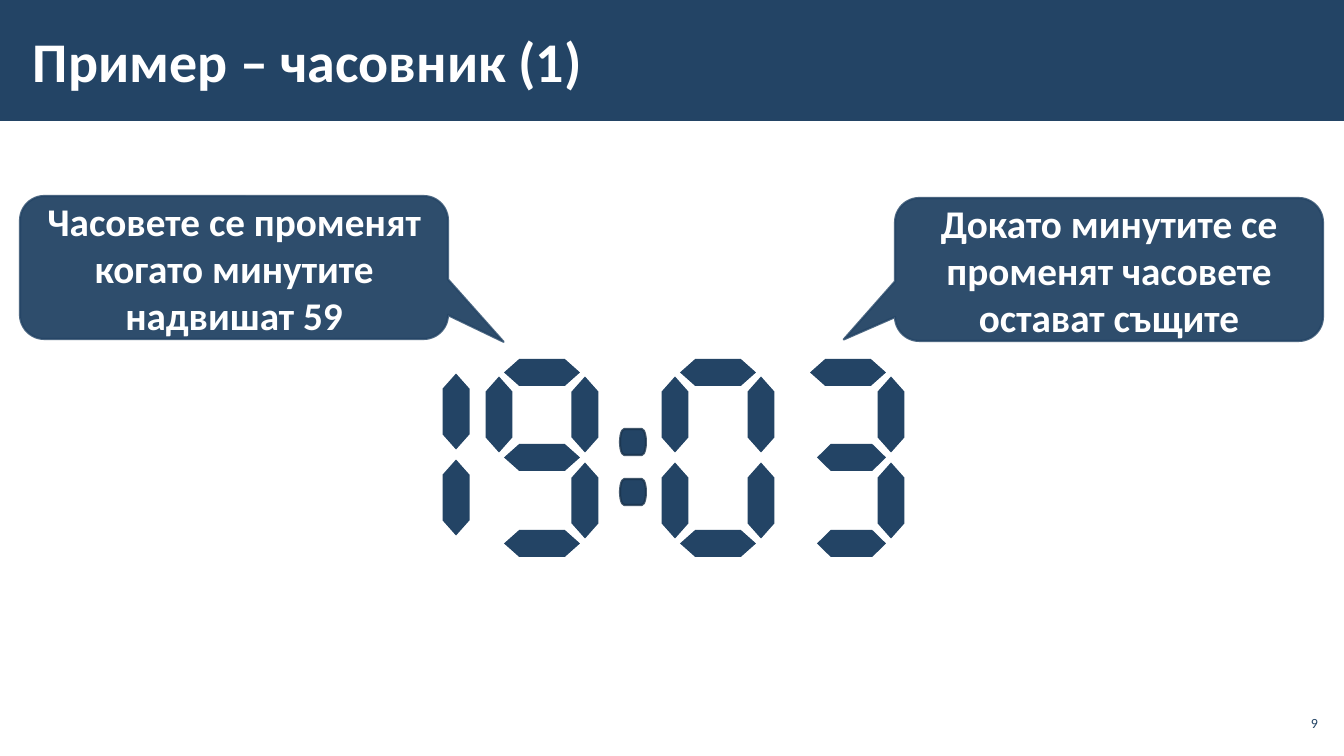
from pptx import Presentation
from pptx.dml.color import RGBColor
from pptx.enum.shapes import MSO_SHAPE as Shape
from pptx.enum.text import MSO_ANCHOR as Anchor, PP_ALIGN as Align
from pptx.oxml.ns import qn
from pptx.util import Pt
from lxml.etree import SubElement

NAVY = RGBColor(0x23, 0x44, 0x65)
DARK_NAVY = RGBColor(0x1A, 0x33, 0x4C)
WHITE = RGBColor(0xFF, 0xFF, 0xFF)
FONT = "Calibri"
WIDTH, HEIGHT = 1344, 756
SCALE = 12192000 / WIDTH

# Segment name: (offset from the digit's centre, centre height, upright)
SEGMENTS = {
    "top": (0, 372, False),
    "middle": (0, 457, False),
    "bottom": (0, 543, False),
    "upper left": (-43, 414, True),
    "lower left": (-43, 500, True),
    "upper right": (43, 414, True),
    "lower right": (43, 500, True),
}
BARS = ["top", "middle", "bottom"]
RIGHT_SIDE = ["upper right", "lower right"]
LEFT_SIDE = ["upper left", "lower left"]


def px(length):
    return round(length * SCALE)


def set_alpha(fill_parent, percent):
    color = fill_parent.find(qn("a:solidFill"))[0]
    SubElement(color, qn("a:alpha")).set("val", str(percent * 1000))


class ClockSlide:
    def __init__(self, deck):
        self.slide = deck.slides.add_slide(deck.slide_layouts[6])

    def shape(self, kind, left, top, width, height, line=None):
        shape = self.slide.shapes.add_shape(
            kind, px(left), px(top), px(width), px(height))
        shape.shadow.inherit = False
        shape.fill.solid()
        shape.fill.fore_color.rgb = NAVY
        if line is None:
            shape.line.fill.background()
        else:
            shape.line.color.rgb = line
            shape.line.width = Pt(1.5)
            set_alpha(shape.line.fill._xPr, 80)
        return shape

    def set_text(self, box, text, size, color, align, bold=False):
        frame = box.text_frame
        frame.word_wrap = True
        frame.vertical_anchor = Anchor.MIDDLE
        para = frame.paragraphs[0]
        para.text = text
        para.alignment = align
        para.font.name = FONT
        para.font.size = Pt(size)
        para.font.bold = bold
        para.font.color.rgb = color

    def label(self, text, left, top, width, height, size, color, align,
              side_inset, bold=False):
        box = self.slide.shapes.add_textbox(
            px(left), px(top), px(width), px(height))
        frame = box.text_frame
        frame.margin_left = frame.margin_right = px(side_inset)
        frame.margin_top = frame.margin_bottom = px(4)
        self.set_text(box, text, size, color, align, bold)

    def callout(self, text, left, top, tip):
        bubble = self.shape(Shape.ROUNDED_RECTANGULAR_CALLOUT,
                            left, top, 428, 143, line=NAVY)
        for index, value in enumerate((*tip, 0.17)):
            bubble.adjustments[index] = value
        set_alpha(bubble._element.spPr, 95)
        self.set_text(bubble, text, 28, WHITE, Align.CENTER, bold=True)

    def digit(self, center, names, shift=0, short=()):
        for name in names:
            offset, middle, upright = SEGMENTS[name]
            length = 69 if name in short else 76
            # Short bars keep their right end in place
            left = center + offset + 38 - length
            segment = self.shape(Shape.FLOWCHART_PREPARATION,
                                 left, middle + shift - 13, length, 27)
            if upright:
                segment.rotation = 90

    def colon(self, left, tops):
        for top in tops:
            self.shape(Shape.FLOWCHART_TERMINATOR, left, top, 26, 26,
                       line=DARK_NAVY)


def main():
    deck = Presentation()
    deck.slide_width, deck.slide_height = px(WIDTH), px(HEIGHT)
    page = ClockSlide(deck)

    # Title band and page number
    page.shape(Shape.RECTANGLE, 0, 0, WIDTH, 121)
    page.label("Пример – часовник (1)", 21, 11, 1072, 98, 40, WHITE,
               Align.LEFT, 12, bold=True)
    page.label("9", 1275, 706, 47, 34, 10, NAVY, Align.RIGHT, 4)

    # Clock face: 19:03
    page.digit(413, RIGHT_SIDE, shift=-3)
    page.digit(542, BARS + RIGHT_SIDE + ["upper left"])
    page.colon(620, (429, 479))
    page.digit(718, ["top", "bottom"] + LEFT_SIDE + RIGHT_SIDE)
    page.digit(848, BARS + RIGHT_SIDE, short=("middle", "bottom"))

    # Explanations
    page.callout("Часовете се променят когато минутите надвишат 59",
                 20, 196, (0.63, 0.52))
    page.callout("Докато минутите се променят часовете остават същите",
                 895, 198, (-0.62, 0.49))

    deck.save("out.pptx")


if __name__ == "__main__":
    main()
